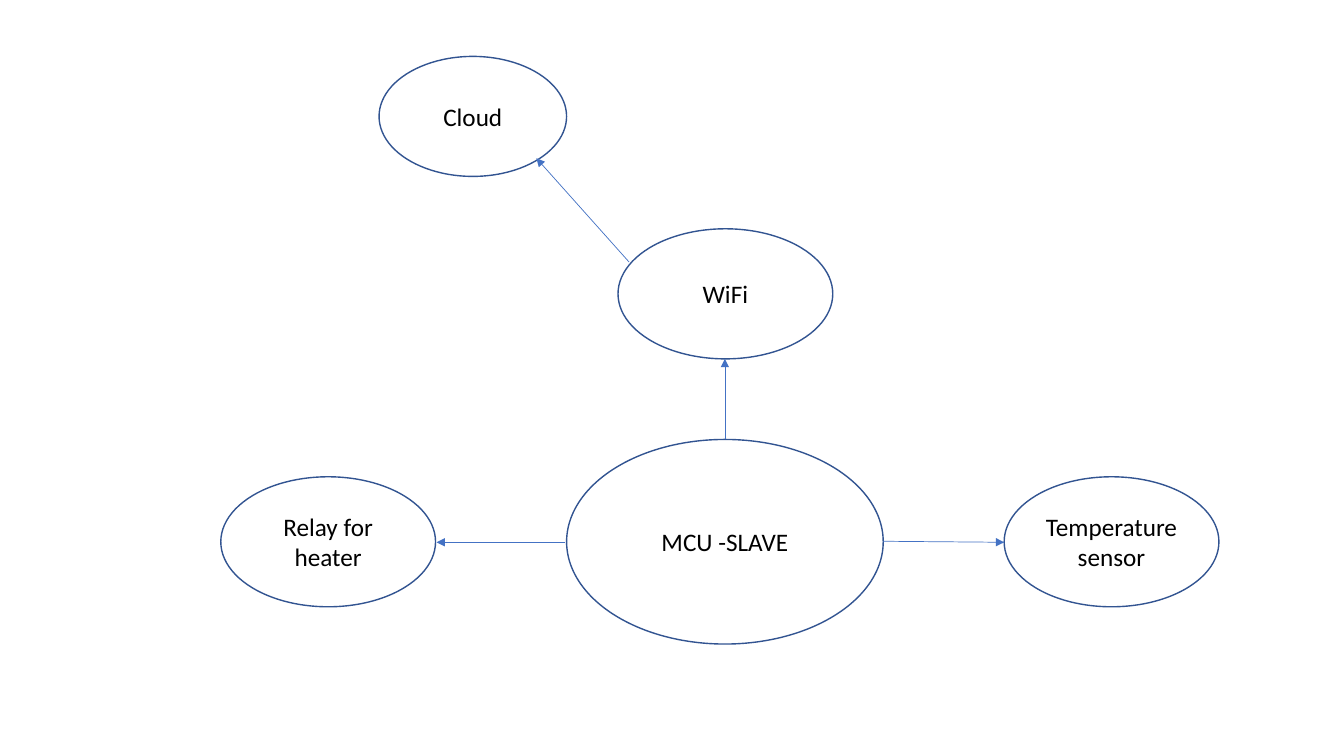
from pptx import Presentation
from pptx.dml.color import RGBColor
from pptx.enum.shapes import MSO_CONNECTOR, MSO_SHAPE
from pptx.enum.text import MSO_ANCHOR, PP_ALIGN
from pptx.oxml.ns import qn
from pptx.util import Inches, Pt
from lxml.etree import SubElement

WHITE = RGBColor(0xFF, 0xFF, 0xFF)
BLACK = RGBColor(0x00, 0x00, 0x00)
OUTLINE = RGBColor(0x32, 0x54, 0x91)
ARROW = RGBColor(0x44, 0x72, 0xC4)


def write_text(frame, text, *, size=18, font="Calibri", color=BLACK,
               align=PP_ALIGN.CENTER, anchor=MSO_ANCHOR.MIDDLE):
    """Put one formatted paragraph into a text frame."""
    frame.word_wrap = True
    frame.vertical_anchor = anchor
    paragraph = frame.paragraphs[0]
    paragraph.alignment = align
    run = paragraph.add_run()
    run.text = text
    run.font.size = Pt(size)
    run.font.name = font
    run.font.color.rgb = color


prs = Presentation()
prs.slide_width = Inches(13.33)
prs.slide_height = Inches(7.5)
slide = prs.slides.add_slide(prs.slide_layouts[6])

# Components of the system: label, left, top, width, height
DEVICE_SIZE = (2.13, 1.29)
components = [
    ("MCU -SLAVE", 5.62, 4.36, 3.14, 2.03),
    ("Cloud", 3.76, 0.56, 1.86, 1.19),
    ("WiFi", 6.13, 2.27, *DEVICE_SIZE),
    ("Relay for heater", 2.19, 4.73, *DEVICE_SIZE),
    ("Temperature sensor", 9.96, 4.73, *DEVICE_SIZE),
]
for label, *box in components:
    component = slide.shapes.add_shape(MSO_SHAPE.OVAL, *map(Inches, box))
    component.shadow.inherit = False
    component.fill.solid()
    component.fill.fore_color.rgb = WHITE
    component.line.color.rgb = OUTLINE
    component.line.width = Pt(1)
    write_text(component.text_frame, label)

# Links between components: start x, start y, end x, end y
links = [
    (6.24, 2.6, 5.32, 1.57),    # WiFi to cloud
    (7.19, 4.36, 7.19, 3.56),   # MCU to WiFi
    (5.6, 5.38, 4.33, 5.38),    # MCU to relay
    (8.76, 5.37, 9.96, 5.38),   # MCU to temperature sensor
]
for ends in links:
    link = slide.shapes.add_connector(MSO_CONNECTOR.STRAIGHT, *map(Inches, ends))
    link.line.color.rgb = ARROW
    link.line.width = Pt(0.5)
    SubElement(link.line._get_or_add_ln(), qn("a:tailEnd"), type="triangle")
    SubElement(link._element.spPr, qn("a:effectLst"))

prs.save("out.pptx")
